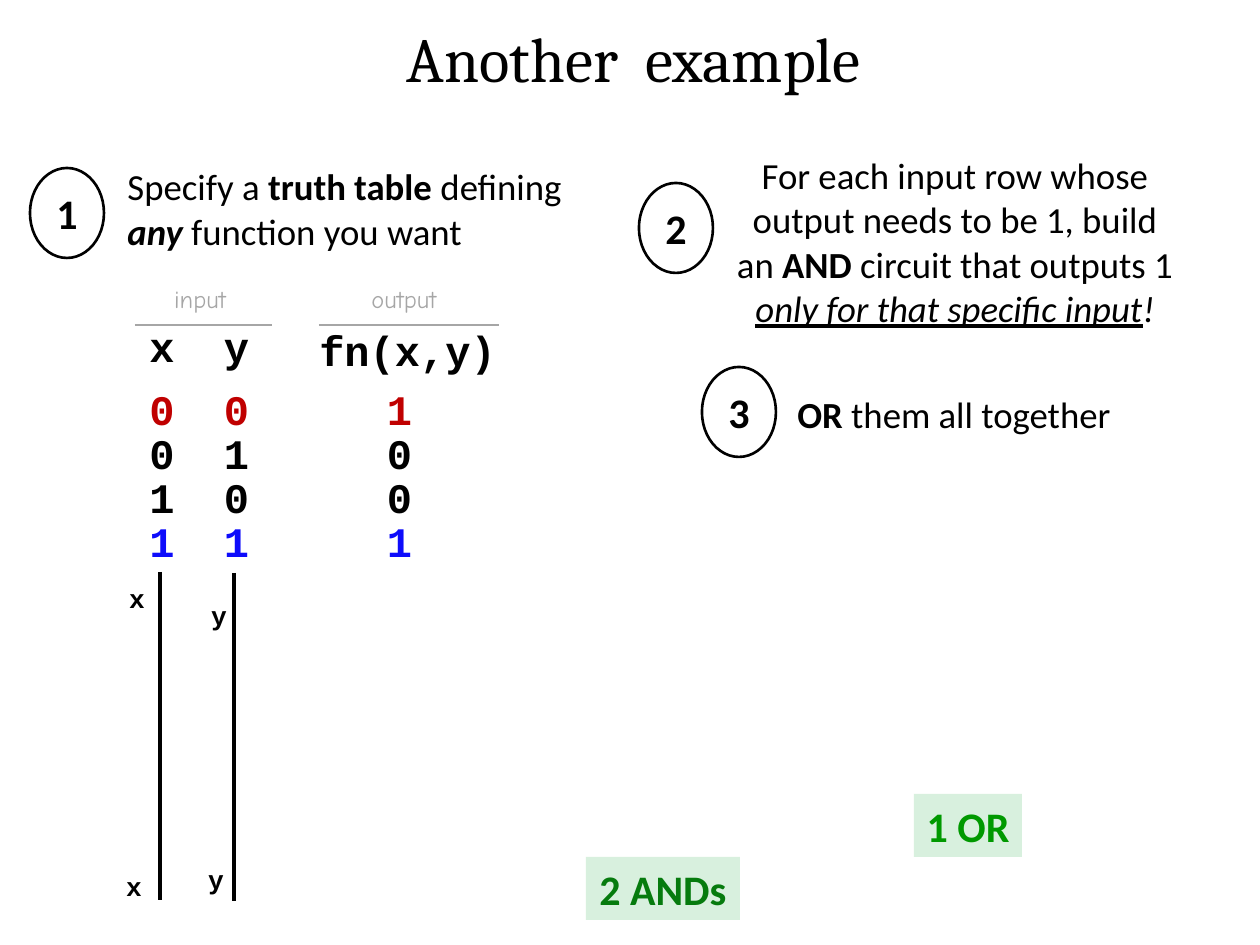
from lxml.etree import SubElement
from pptx import Presentation
from pptx.dml.color import RGBColor
from pptx.enum.shapes import MSO_CONNECTOR, MSO_SHAPE
from pptx.enum.text import MSO_ANCHOR, PP_ALIGN
from pptx.oxml.ns import qn
from pptx.util import Pt

BLACK, GRAY, RED, BLUE = "000000", "A6A6A6", "C00000", "0E0CFB"
PALE = "D8F0DE"
BODY, CODE = "Calibri", "Courier New"


def px(n):
    return round(n * 914400 / 126)


def color(code):
    return RGBColor.from_string(code)


def write(frame, runs, size, font, ink=BLACK, center=True, wrap=True):
    frame.word_wrap = wrap
    para = frame.paragraphs[0]
    para.alignment = PP_ALIGN.CENTER if center else PP_ALIGN.LEFT
    for text, marks in runs:
        run = para.add_run()
        run.text = text
        run.font.size = Pt(size)
        run.font.name = font
        run.font.color.rgb = color(ink)
        run.font.bold = "b" in marks
        run.font.italic = "i" in marks
        run.font.underline = "u" in marks


def add_text(slide, box, runs, size, font, **style):
    shape = slide.shapes.add_textbox(*map(px, box))
    write(shape.text_frame, runs, size, font, **style)


def add_line(slide, start, end, ink, width):
    line = slide.shapes.add_connector(
        MSO_CONNECTOR.STRAIGHT, *map(px, start + end))
    line.line.color.rgb = color(ink)
    line.line.width = Pt(width)
    SubElement(line._element.spPr, qn("a:effectLst"))


def add_step(slide, left, top, digit):
    ring = slide.shapes.add_shape(
        MSO_SHAPE.OVAL, *map(px, (left, top, 74, 90)))
    ring.shadow.inherit = False
    ring.fill.background()
    ring.line.color.rgb = color(BLACK)
    ring.line.width = Pt(1.5)
    ring.text_frame.vertical_anchor = MSO_ANCHOR.MIDDLE
    write(ring.text_frame, [(digit, "b")], 24, BODY)


def add_tag(slide, box, text, ink):
    tag = slide.shapes.add_shape(MSO_SHAPE.RECTANGLE, *map(px, box))
    tag.shadow.inherit = False
    tag.fill.solid()
    tag.fill.fore_color.rgb = color(PALE)
    tag.line.fill.background()
    tag.text_frame.vertical_anchor = MSO_ANCHOR.TOP
    write(tag.text_frame, [(text, "b")], 24, BODY, ink=ink, wrap=False)


def add_truth(slide):
    heads = [("input", 159, 82, 135, 272), ("output", 354, 100, 319, 499)]
    for text, left, width, start, end in heads:
        add_text(slide, (left, 278, width, 42), [(text, "")], 14,
                 "Comic Neue", ink=GRAY, wrap=False)
        add_line(slide, (start, 325), (end, 325), GRAY, 1)
    names = [("x", 125, 314, 74), ("y", 197, 314, 79),
             ("fn(x,y)", 292, 318, 231)]
    for text, left, top, width in names:
        add_text(slide, (left, top, width, 63), [(text, "b")], 24, CODE)
    cols = [(125, 74), (197, 79), (360, 79)]
    rows = [("001", RED), ("010", BLACK), ("100", BLACK), ("111", BLUE)]
    for i, (bits, ink) in enumerate(rows):
        for bit, (left, width) in zip(bits, cols):
            add_text(slide, (left, 377 + 44 * i, width, 63), [(bit, "b")],
                     24, CODE, ink=ink)


def add_wires(slide):
    for left, top, end in [(234, 573, 901), (160, 640, 876), (160, 572, 900)]:
        add_line(slide, (left, top), (left, end), BLACK, 2.25)
    labels = [("x", 116, 576), ("y", 198, 593), ("x", 113, 864),
              ("y", 195, 857)]
    for text, left, top in labels:
        add_text(slide, (left, top, 42, 44), [(text, "b")], 15, CODE,
                 wrap=False)


def main():
    deck = Presentation()
    deck.slide_width, deck.slide_height = px(1260), px(945)
    slide = deck.slides.add_slide(deck.slide_layouts[6])

    add_text(slide, (135, 13, 998, 89), [("Another  example", "")], 36,
             "Cambria")

    add_step(slide, 30, 168, "1")
    add_text(slide, (115, 158, 483, 102),
             [("Specify a ", ""), ("truth table ", "b"), ("defining ", ""),
              ("any", "bi"), (" function you want", "")],
             21, BODY, center=False)
    add_step(slide, 639, 183, "2")
    add_text(slide, (723, 147, 464, 190),
             [("For each input row whose output needs to be 1, build an ", ""),
              ("AND", "b"), (" circuit that outputs 1 ", ""),
              ("only for that specific input", "iu"), ("!", "i")], 21, BODY)
    add_step(slide, 702, 367, "3")
    add_text(slide, (785, 386, 368, 57),
             [("OR", "b"), (" them all together", "")],
             21, BODY, center=False)

    add_truth(slide)
    add_wires(slide)
    add_tag(slide, (586, 857, 154, 63), "2 ANDs", "067B0E")
    add_tag(slide, (914, 794, 108, 63), "1 OR", "009900")
    deck.save("out.pptx")


if __name__ == "__main__":
    main()
